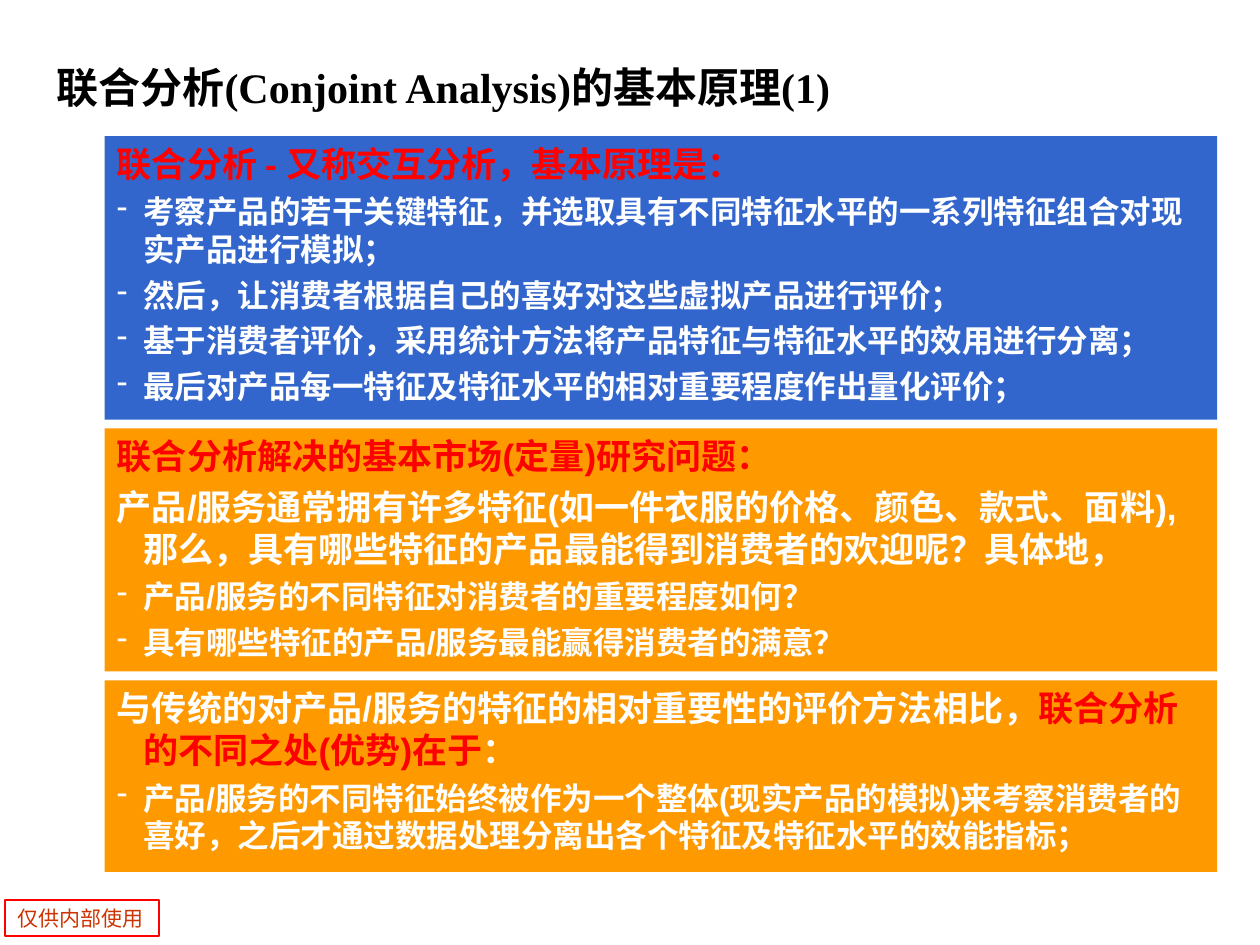
from lxml import etree
from pptx import Presentation
from pptx.dml.color import RGBColor
from pptx.enum import shapes, text
from pptx.oxml import ns
from pptx.util import Inches, Pt

WHITE = RGBColor(255, 255, 255)
BLACK = RGBColor(0, 0, 0)
RED = RGBColor(255, 0, 0)
RUST = RGBColor(0xCC, 0x33, 0x00)
BLUE = RGBColor(0x33, 0x66, 0xCC)
ORANGE = RGBColor(0xFF, 0x99, 0x00)
HAN = "Noto Sans CJK SC"

# Each panel: top, height, fill, paragraphs.
# Each paragraph: style, then (text, colour) runs.
PANELS = [
    (1.08, 2.25, BLUE, [
        ("head", ("联合分析 - 又称交互分析，基本原理是：", RED)),
        ("item", ("考察产品的若干关键特征，并选取具有不同特征水平的一系列特征组合对现实产品进行模拟；", WHITE)),
        ("item", ("然后，让消费者根据自己的喜好对这些虚拟产品进行评价；", WHITE)),
        ("item", ("基于消费者评价，采用统计方法将产品特征与特征水平的效用进行分离；", WHITE)),
        ("item", ("最后对产品每一特征及特征水平的相对重要程度作出量化评价；", WHITE)),
    ]),
    (3.4, 1.93, ORANGE, [
        ("head", ("联合分析解决的基本市场(定量)研究问题：", RED)),
        ("head", ("产品/服务通常拥有许多特征(如一件衣服的价格、颜色、款式、面料),"
                  "那么，具有哪些特征的产品最能得到消费者的欢迎呢？具体地，", WHITE)),
        ("item", ("产品/服务的不同特征对消费者的重要程度如何？", WHITE)),
        ("item", ("具有哪些特征的产品/服务最能赢得消费者的满意？", WHITE)),
    ]),
    (5.4, 1.52, ORANGE, [
        ("head", ("与传统的对产品/服务的特征的相对重要性的评价方法相比，", WHITE),
         ("联合分析的不同之处(优势)在于", RED), ("：", WHITE)),
        ("item", ("产品/服务的不同特征始终被作为一个整体(现实产品的模拟)来考察消费者的喜好，"
                  "之后才通过数据处理分离出各个特征及特征水平的效能指标；", WHITE)),
    ]),
]


def add_tag(parent, tag, **attrs):
    return etree.SubElement(parent, ns.qn(tag), attrs)


def set_font(para, name, size, bold=False):
    """Set the Latin and East Asian fonts of a whole paragraph."""
    font = para.font
    font.name, font.size, font.bold = name, Pt(size), bold
    add_tag(para._p.pPr.find(ns.qn("a:defRPr")), "a:ea", typeface=HAN)


def add_run(para, words, color):
    run = para.add_run()
    run.text = words
    run.font.color.rgb = color


def add_box(slide, left, top, width, height):
    """Add a plain rectangle with left-aligned text and no fill or line."""
    box = slide.shapes.add_shape(
        shapes.MSO_SHAPE.RECTANGLE,
        Inches(left), Inches(top), Inches(width), Inches(height))
    box.shadow.inherit = False
    box.fill.background()
    box.line.fill.background()
    frame = box.text_frame
    frame.word_wrap = True
    frame.vertical_anchor = text.MSO_ANCHOR.TOP
    frame.paragraphs[0].alignment = text.PP_ALIGN.LEFT
    return box


def add_para(para, style, runs):
    para.alignment = text.PP_ALIGN.LEFT
    props = para._p.get_or_add_pPr()
    indent = Inches(0.21)
    props.set("marL", str(indent))
    props.set("indent", str(-indent))
    item = style == "item"
    if item:
        add_tag(add_tag(props, "a:buClr"), "a:srgbClr", val=str(WHITE))
        add_tag(props, "a:buChar", char="-")
    size = 18 if item else 20
    para.space_before = Pt(size / 4)
    set_font(para, "Arial", size, True)
    for words, color in runs:
        add_run(para, words, color)


def add_panel(slide, top, height, fill, paras):
    box = add_box(slide, 0.83, top, 8.83, height)
    box.fill.solid()
    box.fill.fore_color.rgb = fill
    frame = box.text_frame
    for i, (style, *runs) in enumerate(paras):
        para = frame.add_paragraph() if i else frame.paragraphs[0]
        add_para(para, style, runs)


def add_title(slide):
    box = slide.shapes.add_textbox(
        Inches(0.35), Inches(0.23), Inches(9.45), Inches(0.92))
    frame = box.text_frame
    frame.word_wrap = True
    frame.vertical_anchor = text.MSO_ANCHOR.MIDDLE
    para = frame.paragraphs[0]
    set_font(para, "Times New Roman", 24, True)
    add_run(para, "联合分析(Conjoint Analysis)的基本原理(1)", BLACK)


def add_label(slide):
    box = add_box(slide, 0.04, 7.14, 1.22, 0.29)
    box.line.color.rgb = RED
    box.line.width = Pt(1)
    para = box.text_frame.paragraphs[0]
    set_font(para, HAN, 12)
    add_run(para, "仅供内部使用", RUST)


def main():
    deck = Presentation()
    deck.slide_width, deck.slide_height = Inches(10), Inches(7.5)
    slide = deck.slides.add_slide(deck.slide_layouts[6])
    add_label(slide)
    add_title(slide)
    for panel in PANELS:
        add_panel(slide, *panel)
    deck.save("out.pptx")


if __name__ == "__main__":
    main()
